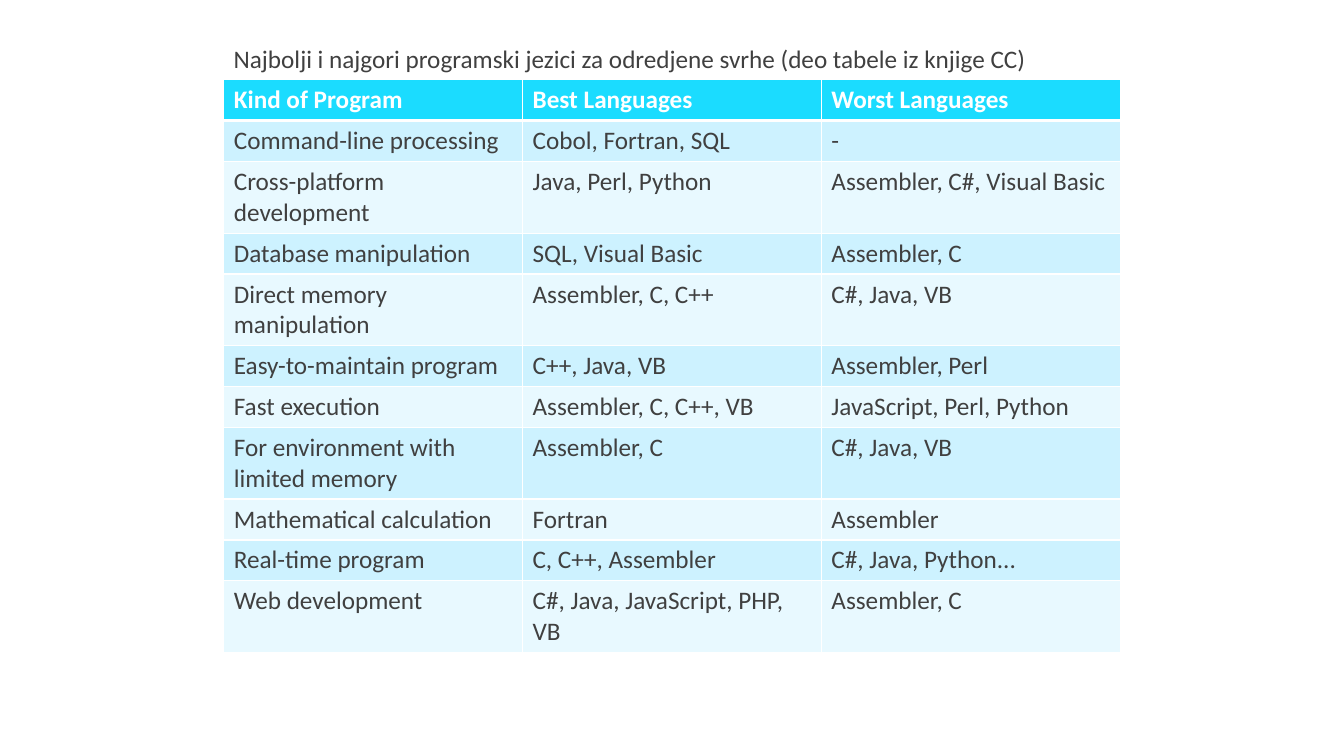
from lxml.etree import SubElement
from pptx import Presentation
from pptx.dml.color import RGBColor
from pptx.oxml.ns import qn
from pptx.util import Cm, Pt

TITLE = "Najbolji i najgori programski jezici za odredjene svrhe (deo tabele iz knjige CC)"
ROWS = [
    ("Kind of Program", "Best Languages", "Worst Languages"),
    ("Command-line processing", "Cobol, Fortran, SQL", "-"),
    ("Cross-platform development", "Java, Perl, Python", "Assembler, C#, Visual Basic"),
    ("Database manipulation", "SQL, Visual Basic", "Assembler, C"),
    ("Direct memory manipulation", "Assembler, C, C++", "C#, Java, VB"),
    ("Easy-to-maintain program", "C++, Java, VB", "Assembler, Perl"),
    ("Fast execution", "Assembler, C, C++, VB", "JavaScript, Perl, Python"),
    ("For environment with limited memory", "Assembler, C", "C#, Java, VB"),
    ("Mathematical calculation", "Fortran", "Assembler"),
    ("Real-time program", "C, C++, Assembler", "C#, Java, Python..."),
    ("Web development", "C#, Java, JavaScript, PHP, VB", "Assembler, C"),
]
COLORS = {
    "header": "1BDCFF",
    "odd_row": "CDF2FF",
    "even_row": "E8F9FF",
    "border": "FFFFFF",
    "header_text": "FFFFFF",
    "text": "404040",
}
FONT, FONT_SIZE = "Calibri", Pt(18)
LEFT, TITLE_TOP, TABLE_TOP = Cm(5.64), Cm(0.97), Cm(2.01)
COLUMN_WIDTH, ROW_HEIGHT = Cm(7.53), Cm(1.03)
THIN, THICK = Pt(1), Pt(3)


def add_text(text_frame, text, color, bold=False):
    run = text_frame.paragraphs[0].add_run()
    run.text = text
    run.font.name = FONT
    run.font.size = FONT_SIZE
    run.font.bold = bold
    run.font.color.rgb = RGBColor.from_string(COLORS[color])


def add_borders(cell, top, bottom):
    """Draw the four cell borders; call before the fill, which must follow them in the XML."""
    properties = cell._tc.get_or_add_tcPr()
    for side, width in (("L", THIN), ("R", THIN), ("T", top), ("B", bottom)):
        line = SubElement(properties, qn(f"a:ln{side}"), w=str(width))
        fill = SubElement(line, qn("a:solidFill"))
        SubElement(fill, qn("a:srgbClr"), val=COLORS["border"])


def add_language_table(slide):
    columns = len(ROWS[0])
    table = slide.shapes.add_table(
        len(ROWS), columns, LEFT, TABLE_TOP,
        COLUMN_WIDTH * columns, ROW_HEIGHT * len(ROWS),
    ).table
    for column in table.columns:
        column.width = COLUMN_WIDTH
    for row_index, texts in enumerate(ROWS):
        table.rows[row_index].height = ROW_HEIGHT
        is_header = row_index == 0
        fill_color = "header" if is_header else "odd_row" if row_index % 2 else "even_row"
        for column_index, text in enumerate(texts):
            cell = table.cell(row_index, column_index)
            add_borders(cell, THICK if row_index == 1 else THIN, THICK if is_header else THIN)
            cell.fill.solid()
            cell.fill.fore_color.rgb = RGBColor.from_string(COLORS[fill_color])
            add_text(cell.text_frame, text, "header_text" if is_header else "text", is_header)


def main():
    presentation = Presentation()
    presentation.slide_width, presentation.slide_height = Cm(33.87), Cm(19.05)
    slide = presentation.slides.add_slide(presentation.slide_layouts[6])
    add_language_table(slide)
    title_box = slide.shapes.add_textbox(LEFT, TITLE_TOP, COLUMN_WIDTH * len(ROWS[0]), ROW_HEIGHT)
    title_box.text_frame.word_wrap = True
    add_text(title_box.text_frame, TITLE, "text")
    presentation.save("out.pptx")


if __name__ == "__main__":
    main()
